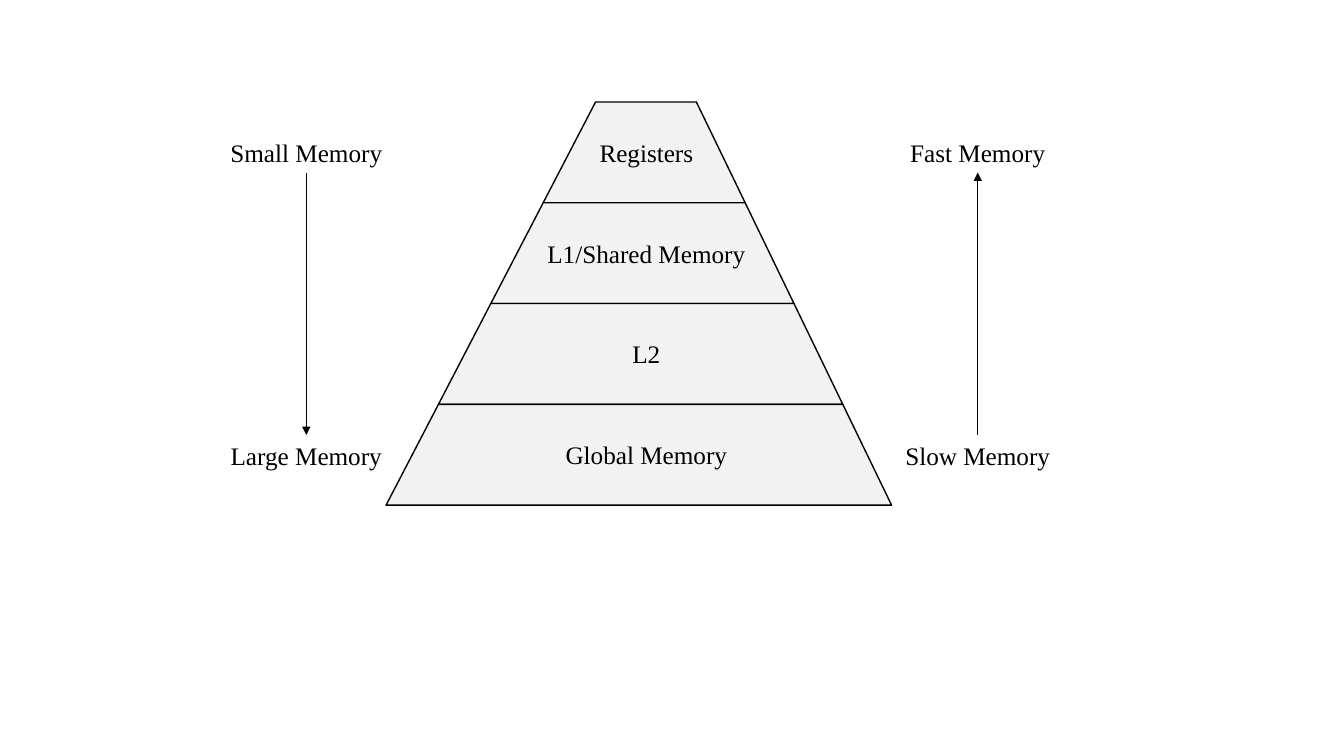
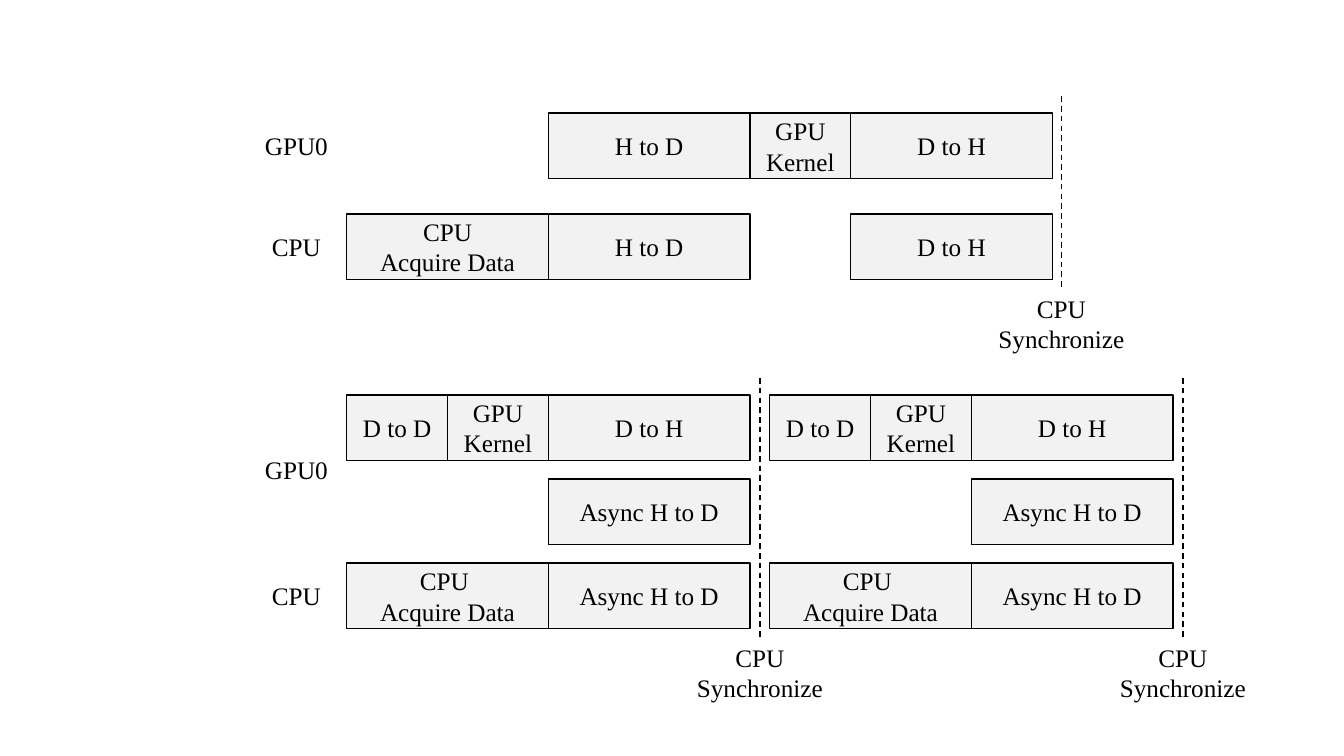
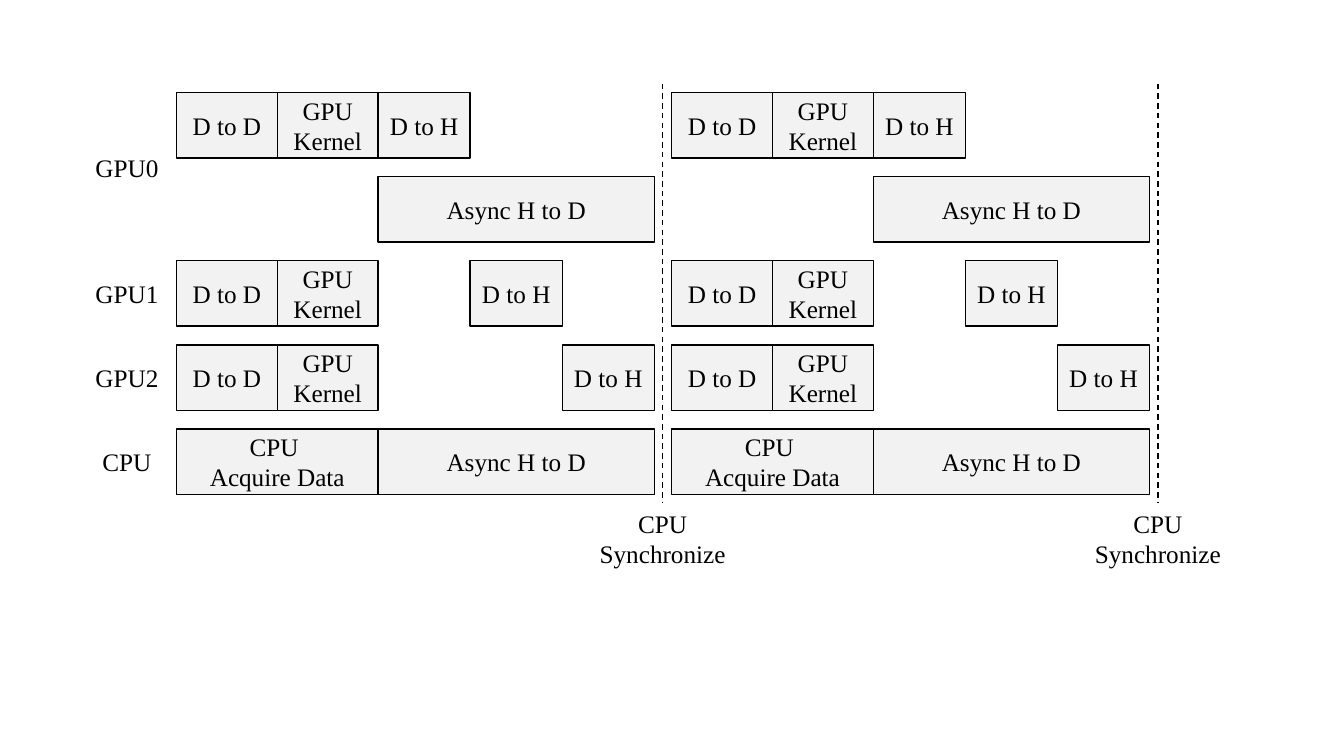
from dataclasses import dataclass

from lxml import etree
from pptx import Presentation
from pptx.dml.color import RGBColor
from pptx.enum.dml import MSO_LINE
from pptx.enum.shapes import MSO_CONNECTOR, MSO_SHAPE
from pptx.enum.text import MSO_ANCHOR, MSO_AUTO_SIZE, PP_ALIGN
from pptx.oxml.ns import qn
from pptx.util import Cm, Pt

RECTANGLE = MSO_SHAPE.RECTANGLE
STRAIGHT = MSO_CONNECTOR.STRAIGHT
CENTER = PP_ALIGN.CENTER
MIDDLE = MSO_ANCHOR.MIDDLE
GROW = MSO_AUTO_SIZE.SHAPE_TO_FIT_TEXT
DASH = MSO_LINE.DASH


@dataclass(frozen=True)
class Theme:
    ink: RGBColor = RGBColor(0x00, 0x00, 0x00)
    panel: RGBColor = RGBColor(0xF2, 0xF2, 0xF2)
    font: str = "Times New Roman"
    text_size: int = 18
    outline: float = 1
    thin: float = 0.5


# Shared lengths, in centimetres
UNIT = 2.54
BAR_HEIGHT = 1.65
LABEL_HEIGHT = 1.02
ROW_STEP = 2.12
SYNC_DROP = 0.22

# Wording used by several timelines
ACQUIRE = "CPU \nAcquire Data"
KERNEL = "GPU Kernel"
TO_DEVICE = "H to D"
TO_HOST = "D to H"
ON_DEVICE = "D to D"
ASYNC = "Async H to D"
SYNC = "CPU\nSynchronize"


class Sheet:
    """Draws styled elements on the current slide; lengths are in cm."""

    def __init__(self, deck, theme):
        self.deck = deck
        self.theme = theme
        self.page = None

    def new_page(self):
        self.page = self.deck.slides.add_slide(self.deck.slide_layouts[6])

    def add_text(self, frame, text):
        for index, line in enumerate(text.split("\n")):
            para = frame.paragraphs[0] if index == 0 else frame.add_paragraph()
            para.alignment = CENTER
            span = para.add_run()
            span.text = line
            span.font.name = self.theme.font
            span.font.size = Pt(self.theme.text_size)
            span.font.color.rgb = self.theme.ink

    def paint(self, shape):
        shape.shadow.inherit = False
        shape.fill.solid()
        shape.fill.fore_color.rgb = self.theme.panel
        shape.line.color.rgb = self.theme.ink
        shape.line.width = Pt(self.theme.outline)

    def label(self, center, top, width, text, wrap=False):
        height = LABEL_HEIGHT if "\n" not in text else 1.8
        box = self.page.shapes.add_textbox(
            Cm(center - width / 2), Cm(top), Cm(width), Cm(height))
        box.text_frame.word_wrap = wrap
        box.text_frame.auto_size = GROW
        self.add_text(box.text_frame, text)

    def bar(self, left, top, width, text):
        box = self.page.shapes.add_shape(
            RECTANGLE, Cm(left), Cm(top), Cm(width), Cm(BAR_HEIGHT))
        self.paint(box)
        box.text_frame.word_wrap = True
        box.text_frame.vertical_anchor = MIDDLE
        self.add_text(box.text_frame, text)

    def polygon(self, points):
        corners = [(Cm(x), Cm(y)) for x, y in points]
        builder = self.page.shapes.build_freeform(*corners[0])
        builder.add_line_segments(corners[1:], close=True)
        self.paint(builder.convert_to_shape())

    def vertical(self, x, start, end, width, dashed=False, arrow=False):
        line = self.page.shapes.add_connector(
            STRAIGHT, Cm(x), Cm(start), Cm(x), Cm(end))
        line.line.color.rgb = self.theme.ink
        line.line.width = Pt(width)
        if dashed:
            line.line.dash_style = DASH
        properties = line._element.spPr
        if arrow:
            tip = etree.SubElement(properties.find(qn("a:ln")), qn("a:tailEnd"))
            tip.set("type", "triangle")
        etree.SubElement(properties, qn("a:effectLst"))

    def sync(self, x, top, bottom):
        self.vertical(x, top, bottom, self.theme.outline, dashed=True)
        self.label(x, bottom, 3.71, SYNC)

    def timeline(self, top, starts, rows, names, name_center, sync_offset,
                 sync_rise, step=ROW_STEP):
        """Repeat rows of (offset, width, text) bars at every start."""
        for row, name in names:
            name_top = top + row * step + (BAR_HEIGHT - LABEL_HEIGHT) / 2
            width = 2.24 if name.startswith("GPU") else 2.01
            self.label(name_center, name_top, width, name, wrap=True)
        bottom = top + (len(rows) - 1) * step + BAR_HEIGHT + SYNC_DROP
        for start in starts:
            for row, bars in enumerate(rows):
                for offset, width, text in bars:
                    self.bar(start + offset, top + row * step, width, text)
            self.sync(start + sync_offset, top - sync_rise, bottom)


def memory_pyramid(sheet):
    sheet.new_page()
    top, left, right = 2.57, 15.01, 17.55
    left_step, right_step = 1.32, 1.23

    # Levels, narrow to wide
    levels = [("Registers", 2.9), ("L1/Shared Memory", 5.54),
              ("L2", 1.22), ("Global Memory", 4.62)]
    for level in range(len(levels)):
        upper, lower = [
            (left - edge * left_step, right + edge * right_step, top + edge * UNIT)
            for edge in (level, level + 1)]
        sheet.polygon([(upper[0], upper[2]), (upper[1], upper[2]),
                       (lower[1], lower[2]), (lower[0], lower[2])])
    for level, (name, width) in enumerate(levels):
        sheet.label(16.29, 3.33 + level * UNIT, width, name)

    # Size and speed scales
    high, low = 3.33, 10.96
    scales = [(7.72, "Small Memory", 4.37, "Large Memory", 4.37, True),
              (24.64, "Fast Memory", 3.96, "Slow Memory", 4.19, False)]
    for x, upper, upper_width, lower, lower_width, downward in scales:
        ends = (high + LABEL_HEIGHT, low)
        start, end = ends if downward else ends[::-1]
        sheet.vertical(x, start, end, sheet.theme.thin, arrow=True)
        sheet.label(x, high, upper_width, upper)
        sheet.label(x, low, lower_width, lower)


def single_gpu(sheet):
    sheet.new_page()
    left, name_center = 8.74, 7.47
    wide = 2 * UNIT

    # Blocking transfers
    blocking = [
        [(wide, wide, TO_DEVICE), (2 * wide, UNIT, KERNEL),
         (5 * UNIT, wide, TO_HOST)],
        [(0, wide, "CPU\nAcquire Data"), (wide, wide, TO_DEVICE),
         (5 * UNIT, wide, TO_HOST)],
    ]
    sheet.timeline(2.85, [left], blocking, [(0, "GPU0"), (1, "CPU")],
                   name_center, 18.01, 0.42, step=UNIT)

    # Overlapped transfers
    overlapped = [
        [(0, UNIT, ON_DEVICE), (UNIT, UNIT, KERNEL), (wide, wide, TO_HOST)],
        [(wide, wide, ASYNC)],
        [(0, wide, ACQUIRE), (wide, wide, ASYNC)],
    ]
    sheet.timeline(9.95, [left, left + 10.66], overlapped,
                   [(0.5, "GPU0"), (2, "CPU")], name_center, 10.41, 0.42)


def several_gpus(sheet):
    sheet.new_page()
    left, wide, copy_width = 4.45, 2 * UNIT, 2.32
    compute = [(0, UNIT, ON_DEVICE), (UNIT, UNIT, KERNEL)]
    transfer = (wide, 3 * copy_width, ASYNC)
    to_host = [(wide + turn * copy_width, copy_width, TO_HOST)
               for turn in range(3)]
    rows = [
        compute + [to_host[0]],
        [transfer],
        compute + [to_host[1]],
        compute + [to_host[2]],
        [(0, wide, ACQUIRE), transfer],
    ]
    names = [(0.5, "GPU0"), (2, "GPU1"), (3, "GPU2"), (4, "CPU")]
    sheet.timeline(2.33, [left, left + 12.48], rows, names, 3.2, 12.25, 0.22)


def main():
    deck = Presentation()
    deck.slide_width = Cm(33.87)
    deck.slide_height = Cm(19.05)
    sheet = Sheet(deck, Theme())
    memory_pyramid(sheet)
    single_gpu(sheet)
    several_gpus(sheet)
    deck.save("out.pptx")


if __name__ == "__main__":
    main()
